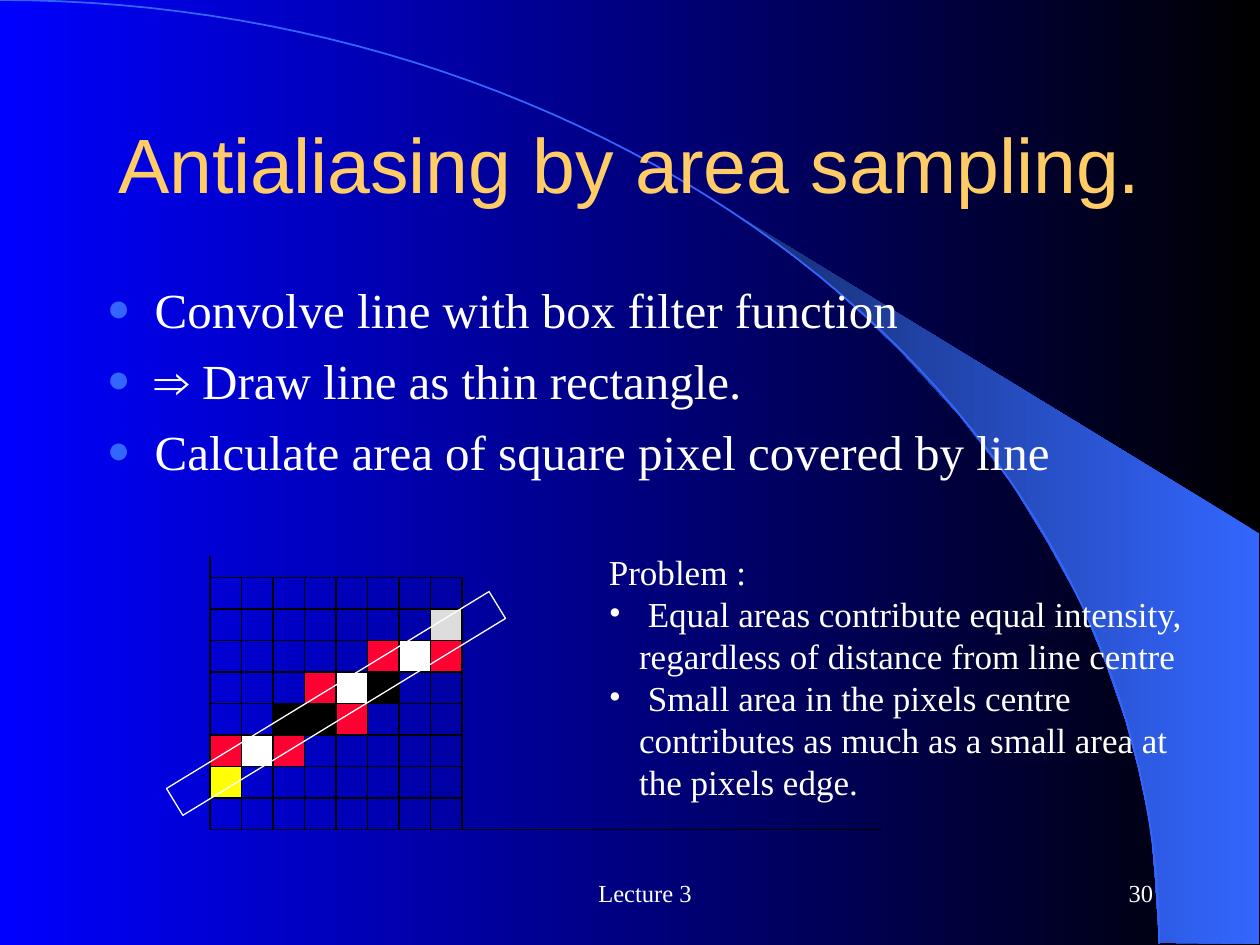
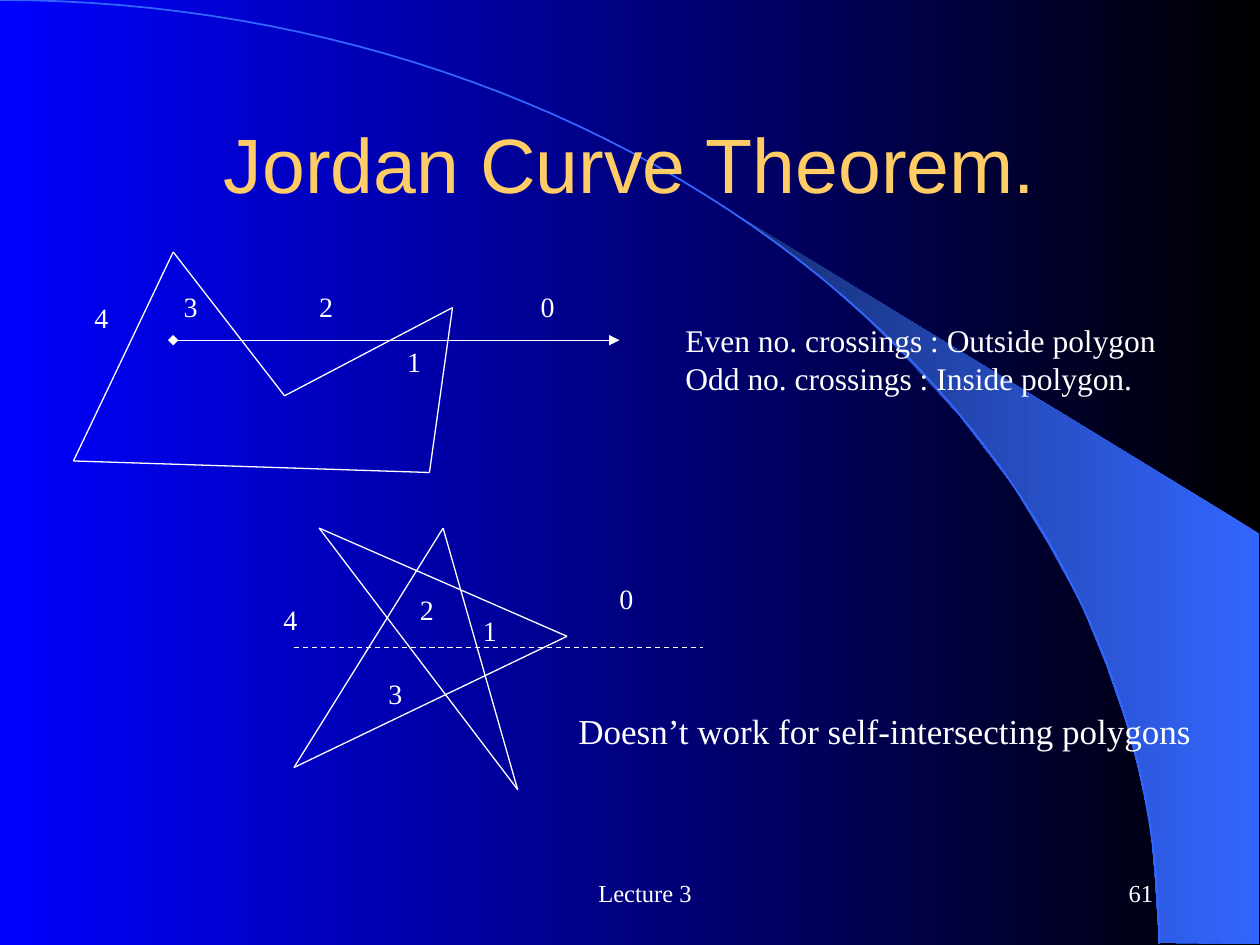
import math

import pptx
import pptx.dml.color
import pptx.enum.dml
import pptx.enum.shapes
import pptx.enum.text
import pptx.oxml
import pptx.oxml.ns
import pptx.util

COLUMNS, ROWS = 120, 90
UNIT = pptx.util.Inches(10) // COLUMNS
SANS, SERIF = "Arial", "Times New Roman"
ALIGN = pptx.enum.text.PP_ALIGN
ANCHOR = pptx.enum.text.MSO_ANCHOR

COLORS = {
    "night": "000000",
    "blue": "0000FF",
    "accent": "3366FF",
    "shade": "172F75",
    "title": "FFCC66",
    "text": "FFFFFF",
    "grid": "000000",
}
PIXEL_COLORS = {"r": "FF0033", "w": "FFFFFF", "k": "000000", "y": "FFFF00", "g": "DDDDDD"}

SWOOSH = [
    (110.4, 89.8), (119.9, 89.9), (119.9, 50.8), (70.7, 20.8), (74.9, 23.9), (78.4, 26.6),
    (82.2, 30), (85.9, 33.6), (91.4, 39.6), (96.4, 46.1), (99.8, 51.7), (103, 57.5),
    (105.4, 63.4), (107.2, 68.6), (108.4, 73.1), (109.6, 78.7), (110, 83.5),
]
ARC_WIDTH, ARC_HEIGHT, ARC_STEPS = 110.4, 89.9, 60

PIXELS = [
    "........",
    ".......g",
    ".....rwr",
    "...rwk..",
    "..kkr...",
    "rwr.....",
    "y.......",
    "........",
]
GRID_LEFT, GRID_TOP, CELL = 20, 55, 3

POLYGON = [(7, 43.9), (40.9, 45), (43.1, 29.3), (27.1, 37.7), (16.5, 24)]
POLYGON_COUNTS = {"0": (50.3, 27), "1": (37.6, 32.2), "2": (29.2, 27), "3": (16.3, 27), "4": (7.8, 28)}
STAR = [(28, 73.1), (42.2, 50.3), (49.3, 75.2), (30.4, 50.3), (54, 60.6)]
STAR_COUNTS = {"0": (57.8, 54.8), "1": (44.8, 57.8), "2": (38.8, 55.8), "3": (35.8, 63.8), "4": (25.8, 56.8)}


def units(*values):
    """Turn grid columns or rows into lengths."""
    return [pptx.util.Emu(round(value * UNIT)) for value in values]


def rgb(name):
    return pptx.dml.color.RGBColor.from_string(COLORS.get(name, name))


def add_element(parent, tag, **attributes):
    element = pptx.oxml.parse_xml(f"<{tag} {pptx.oxml.ns.nsdecls('a')}/>")
    for name, value in attributes.items():
        element.set(name, value)
    parent.append(element)
    return element


def set_gradient(fill, start, end):
    fill.gradient()
    fill.gradient_angle = 180
    for stop, color in zip(fill.gradient_stops, (start, end)):
        stop.color.rgb = rgb(color)


def set_line(line, color, width=0.75):
    line.color.rgb = rgb(color)
    line.width = pptx.util.Pt(width)


def add_outline(slide, points, closed):
    corners = [units(*point) for point in points]
    builder = slide.shapes.build_freeform(*corners[0])
    builder.add_line_segments(corners[1:], close=closed)
    shape = builder.convert_to_shape()
    shape.shadow.inherit = False
    return shape


def add_line(slide, start, end, color="text", dashed=False, head=None, tail=None):
    connector = slide.shapes.add_connector(
        pptx.enum.shapes.MSO_CONNECTOR.STRAIGHT, *units(*start, *end))
    set_line(connector.line, color)
    if dashed:
        connector.line.dash_style = pptx.enum.dml.MSO_LINE.DASH
    properties = connector.element.spPr
    outline = properties.find(pptx.oxml.ns.qn("a:ln"))
    for tag, kind in (("a:headEnd", head), ("a:tailEnd", tail)):
        if kind:
            add_element(outline, tag, type=kind)
    add_element(properties, "a:effectLst")


def add_loop(slide, points):
    """Join each point to the next one, and the last to the first."""
    for start, end in zip(points, points[1:] + points[:1]):
        add_line(slide, start, end)


def add_rectangle(slide, box, line, fill=None):
    shape = slide.shapes.add_shape(pptx.enum.shapes.MSO_SHAPE.RECTANGLE, *units(*box))
    shape.shadow.inherit = False
    set_line(shape.line, line)
    if fill:
        shape.fill.solid()
        shape.fill.fore_color.rgb = rgb(fill)
    else:
        shape.fill.background()
    return shape


def add_text(slide, box, paragraphs, size, color="text", font=SERIF, align=ALIGN.LEFT,
             anchor=ANCHOR.TOP, wrap=True, space_before=0):
    """Each paragraph is a string, or a list of (text, font) runs."""
    frame = slide.shapes.add_textbox(*units(*box)).text_frame
    frame.word_wrap = wrap
    frame.vertical_anchor = anchor
    for index, content in enumerate(paragraphs):
        paragraph = frame.add_paragraph() if index else frame.paragraphs[0]
        paragraph.alignment = align
        if index and space_before:
            paragraph.space_before = pptx.util.Pt(space_before)
        runs = [(content, font)] if isinstance(content, str) else content
        for text, run_font in runs:
            run = paragraph.add_run()
            run.text = text
            run.font.name = run_font
            run.font.size = pptx.util.Pt(size)
            run.font.color.rgb = rgb(color)
    return frame.paragraphs


def set_indent(paragraph, left, first=0):
    properties = paragraph._p.get_or_add_pPr()
    properties.set("marL", str(pptx.util.Inches(left)))
    properties.set("indent", str(pptx.util.Inches(first)))
    return properties


def set_bullet(paragraph, character, color, hanging, percent=100):
    properties = set_indent(paragraph, hanging, -hanging)
    add_element(add_element(properties, "a:buClr"), "a:srgbClr", val=COLORS[color])
    add_element(properties, "a:buSzPct", val=str(percent * 1000))
    add_element(properties, "a:buFont", typeface=SERIF)
    add_element(properties, "a:buChar", char=character)


def add_backdrop(slide):
    set_gradient(slide.background.fill, "night", "blue")
    swoosh = add_outline(slide, SWOOSH, closed=True)
    set_gradient(swoosh.fill, "accent", "shade")
    swoosh.line.fill.background()

    angles = [math.pi / 2 * step / ARC_STEPS for step in range(ARC_STEPS + 1)]
    arc_points = [(ARC_WIDTH * math.sin(angle), ARC_HEIGHT * (1 - math.cos(angle)))
                  for angle in angles]
    arc = add_outline(slide, arc_points, closed=False)
    arc.fill.background()
    set_line(arc.line, "accent", 1)


def add_base_slide(presentation, title, number):
    """Add a slide with the backdrop, title and footers."""
    slide = presentation.slides.add_slide(presentation.slide_layouts[6])
    add_backdrop(slide)
    add_text(slide, (9, 8, 102, 15), [title], 44, "title", SANS, ALIGN.CENTER, ANCHOR.MIDDLE)
    for box, text, align in (((41, 82, 38, 6), "Lecture 3", ALIGN.CENTER),
                             ((86, 82, 25, 6), number, ALIGN.RIGHT)):
        footer = add_text(slide, box, [text], 14, align=align, anchor=ANCHOR.MIDDLE)
        set_indent(footer[0], 0.24)
    return slide


def add_pixel_grid(slide):
    add_line(slide, (20, 53), (20, 76), "grid")
    add_line(slide, (23, 79), (84, 79), "grid")
    for row, pixels in enumerate(PIXELS):
        for column, pixel in enumerate(pixels):
            box = (GRID_LEFT + column * CELL, GRID_TOP + row * CELL, CELL, CELL)
            add_rectangle(slide, box, "grid", PIXEL_COLORS.get(pixel))
    thin_line = add_rectangle(slide, (14, 65.5, 36, 3), "text")
    thin_line.rotation = 328.6


def add_counts(slide, counts):
    for count, (left, top) in counts.items():
        add_text(slide, (left, top, 3.7, 4.4), [count], 16, wrap=False)


def add_area_sampling(presentation):
    slide = add_base_slide(presentation, "Antialiasing by area sampling.", "30")
    steps = add_text(slide, (9, 26, 102, 54), [
        "Convolve line with box filter function",
        [("⇒", SANS), (" Draw line as thin rectangle.", SERIF)],
        "Calculate area of square pixel covered by line",
    ], 28, space_before=7)
    for paragraph in steps:
        set_bullet(paragraph, "●", "accent", 0.38, 80)
    add_pixel_grid(slide)
    problem = add_text(slide, (56.8, 51.8, 58.2, 25.2), [
        "Problem :",
        " Equal areas contribute equal intensity, regardless of distance from line centre",
        " Small area in the pixels centre contributes as much as a small area at the pixels edge.",
    ], 20)
    for paragraph in problem[1:]:
        set_bullet(paragraph, "•", "text", 0.24)


def add_jordan_curve(presentation):
    slide = add_base_slide(presentation, "Jordan Curve Theorem.", "61")
    add_loop(slide, POLYGON)
    add_line(slide, (16.5, 32.4), (59, 32.4), head="diamond", tail="triangle")
    add_counts(slide, POLYGON_COUNTS)
    add_text(slide, (64.1, 30, 47.2, 8.4), [
        "Even no. crossings : Outside polygon",
        "Odd no. crossings : Inside polygon.",
    ], 18, wrap=False)

    add_loop(slide, STAR)
    add_line(slide, (28, 61.7), (67, 61.7), dashed=True)
    add_counts(slide, STAR_COUNTS)
    add_text(slide, (53.9, 67, 60.8, 5.3),
             ["Doesn’t work for self-intersecting polygons"], 20, wrap=False)


def main():
    presentation = pptx.Presentation()
    presentation.slide_width, presentation.slide_height = units(COLUMNS, ROWS)
    add_area_sampling(presentation)
    add_jordan_curve(presentation)
    presentation.save("out.pptx")


if __name__ == "__main__":
    main()
